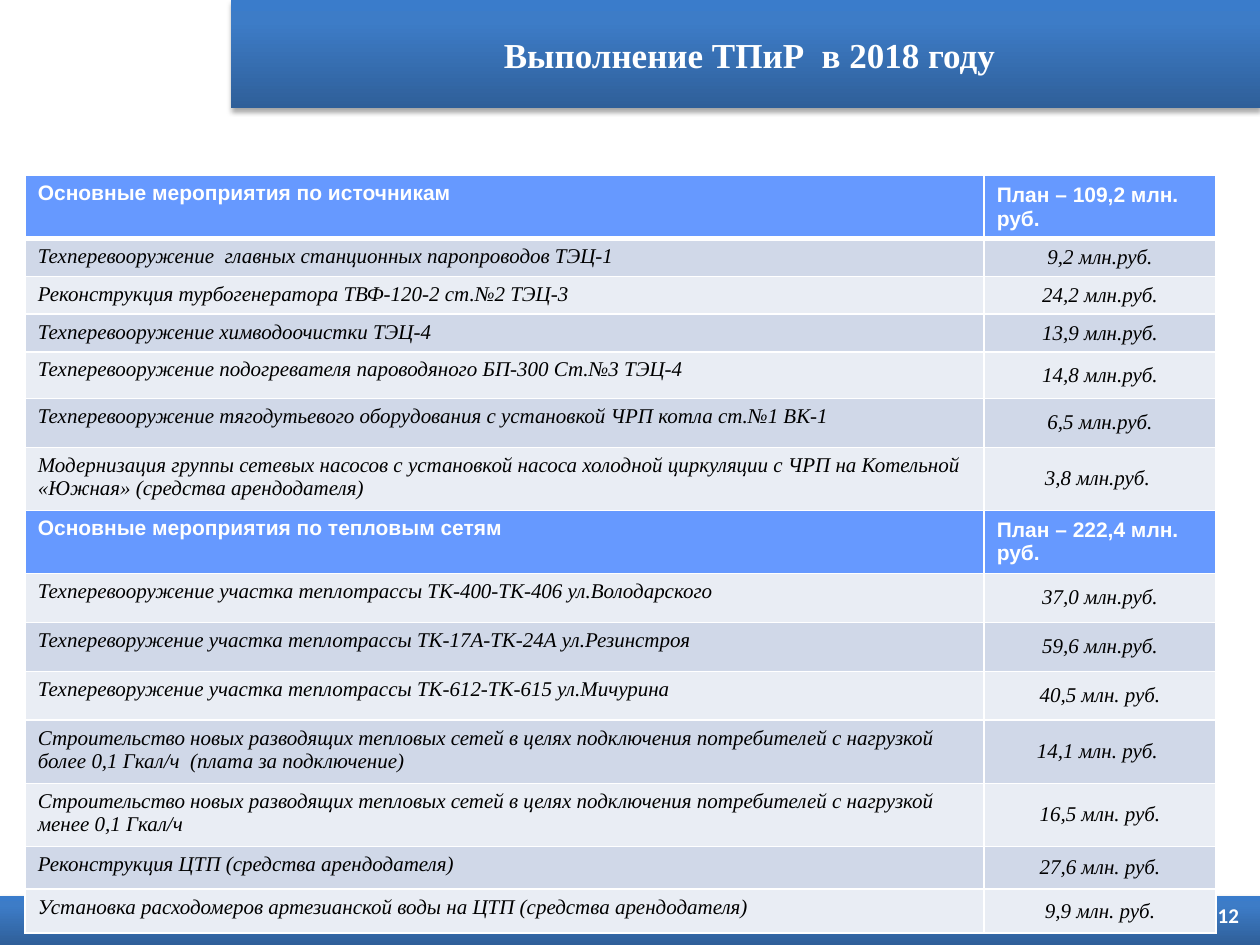
from dataclasses import dataclass

from lxml import etree
from pptx import Presentation
from pptx.dml.color import RGBColor
from pptx.enum.shapes import MSO_SHAPE
from pptx.enum.text import MSO_ANCHOR, PP_ALIGN
from pptx.oxml import parse_xml
from pptx.oxml.ns import qn
from pptx.util import Pt

LEFT, CENTER, RIGHT = PP_ALIGN.LEFT, PP_ALIGN.CENTER, PP_ALIGN.RIGHT
TOP, MIDDLE = MSO_ANCHOR.TOP, MSO_ANCHOR.MIDDLE
RECTANGLE = MSO_SHAPE.RECTANGLE
DRAWING = 'xmlns:a="http://schemas.openxmlformats.org/drawingml/2006/main"'
WHITE, BLACK = "FFFFFF", "000000"
HEADING_FILL = "6699FF"
BAND_FILLS = ("E9EDF4", "D0D8E8")
GRADIENT = ((0, "2F5F99"), (80, "3D7CC7"), (100, "3A7CCB"))
SERIF, SANS, NUMBER_FONT = "Times New Roman", "Arial", "Calibri"
COLUMN_WIDTHS = (548, 132.4)


@dataclass
class Activity:
    name: str
    value: str
    height: float
    heading: bool = False


ACTIVITIES = (
    Activity("Основные мероприятия по источникам", "План – 109,2 млн. руб.", 21, True),
    Activity("Техперевооружение  главных станционных паропроводов ТЭЦ-1", "9,2 млн.руб.", 21.5),
    Activity("Реконструкция турбогенератора ТВФ-120-2 ст.№2 ТЭЦ-3", "24,2 млн.руб.", 21),
    Activity("Техперевооружение химводоочистки ТЭЦ-4", "13,9 млн.руб.", 21),
    Activity("Техперевооружение подогревателя пароводяного БП-300 Ст.№3 ТЭЦ-4", "14,8 млн.руб.", 26.5),
    Activity("Техперевооружение тягодутьевого оборудования с установкой ЧРП котла ст.№1 ВК-1",
             "6,5 млн.руб.", 28),
    Activity("Модернизация группы сетевых насосов с установкой насоса холодной циркуляции "
             "с ЧРП на Котельной «Южная» (средства арендодателя)", "3,8 млн.руб. ", 34.5),
    Activity("Основные мероприятия по тепловым сетям", "План – 222,4 млн. руб.", 21, True),
    Activity("Техперевооружение участка теплотрассы ТК-400-ТК-406 ул.Володарского", "37,0 млн.руб.", 28),
    Activity("Техпереворужение участка теплотрассы ТК-17А-ТК-24А ул.Резинстроя", "59,6 млн.руб.", 28),
    Activity("Техпереворужение участка теплотрассы ТК-612-ТК-615 ул.Мичурина", "40,5 млн. руб.", 28),
    Activity("Строительство новых разводящих тепловых сетей в целях подключения потребителей "
             "с нагрузкой более 0,1 Гкал/ч  (плата за подключение)", "14,1 млн. руб. ", 34.5),
    Activity("Строительство новых разводящих тепловых сетей в целях подключения потребителей "
             "с нагрузкой менее 0,1 Гкал/ч", "16,5 млн. руб.", 34.5),
    Activity("Реконструкция ЦТП (средства арендодателя)", "27,6 млн. руб.", 24.5),
    Activity("Установка расходомеров артезианской воды на ЦТП (средства арендодателя)",
             "9,9 млн. руб.", 25),
)


def color(value: str) -> RGBColor:
    return RGBColor.from_string(value)


def write_text(frame, text: str, *, font: str, size: float = 12, fill: str = WHITE,
               bold: bool = False, italic: bool = False, align=LEFT, anchor=MIDDLE) -> None:
    frame.word_wrap = True
    frame.vertical_anchor = anchor
    para = frame.paragraphs[0]
    para.alignment = align
    span = para.add_run()
    span.text = text
    span.font.name = font
    span.font.size = Pt(size)
    span.font.bold = bold
    span.font.italic = italic
    span.font.color.rgb = color(fill)


def add_band(page, left: float, top: float, width: float, height: float):
    band = page.shapes.add_shape(RECTANGLE, Pt(left), Pt(top), Pt(width), Pt(height))
    band.line.fill.background()
    stops = "".join(f'<a:gs pos="{place * 1000}"><a:srgbClr val="{shade}"/></a:gs>'
                    for place, shade in GRADIENT)
    gradient = parse_xml(f'<a:gradFill {DRAWING} rotWithShape="1"><a:gsLst>{stops}</a:gsLst>'
                         '<a:lin ang="16200000" scaled="0"/></a:gradFill>')
    shadow = parse_xml(f'<a:effectLst {DRAWING}><a:outerShdw blurRad="{Pt(3.1)}" dist="{Pt(1.8)}" '
                       'dir="5400000" rotWithShape="0"><a:srgbClr val="000000">'
                       '<a:alpha val="35000"/></a:srgbClr></a:outerShdw></a:effectLst>')
    properties = band.fill._xPr
    properties.find(qn("a:prstGeom")).addnext(gradient)
    properties.find(qn("a:ln")).addnext(shadow)
    return band


def set_borders(cell, top: float = 1, bottom: float = 1) -> None:
    properties = cell._tc.get_or_add_tcPr()
    for side, width in (("L", 1), ("R", 1), ("T", top), ("B", bottom)):
        line = etree.SubElement(properties, qn(f"a:ln{side}"), w=str(Pt(width)))
        solid = etree.SubElement(line, qn("a:solidFill"))
        etree.SubElement(solid, qn("a:srgbClr"), val=WHITE)


def fill_cell(cell, text: str, background: str, heading: bool, is_value: bool) -> None:
    cell.fill.solid()
    cell.fill.fore_color.rgb = color(background)
    cell.vertical_anchor = MIDDLE if is_value else TOP
    write_text(cell.text_frame, text, font=SANS if heading else SERIF,
               fill=WHITE if heading else BLACK, bold=heading, italic=not heading,
               align=CENTER if is_value and not heading else LEFT,
               anchor=None)


def add_activities(page) -> None:
    frame = page.shapes.add_table(len(ACTIVITIES), len(COLUMN_WIDTHS), Pt(14.4), Pt(100.2),
                                  Pt(sum(COLUMN_WIDTHS)), Pt(sum(item.height for item in ACTIVITIES)))
    table = frame.table
    for column, width in zip(table.columns, COLUMN_WIDTHS):
        column.width = Pt(width)
    for index, activity in enumerate(ACTIVITIES):
        table.rows[index].height = Pt(activity.height)
        background = HEADING_FILL if activity.heading else BAND_FILLS[index % 2]
        for position, text in enumerate((activity.name, activity.value)):
            cell = table.cell(index, position)
            set_borders(cell, top=3 if index == 1 else 1, bottom=3 if index == 0 else 1)
            fill_cell(cell, text, background, activity.heading, position == 1)


def main() -> None:
    deck = Presentation()
    deck.slide_width, deck.slide_height = Pt(720), Pt(540)
    page = deck.slides.add_slide(deck.slide_layouts[6])
    add_band(page, 0, 512, 720, 28)
    number = page.shapes.add_textbox(Pt(680.4), Pt(506.2), Pt(34.6), Pt(33.8))
    write_text(number.text_frame, "12", font=NUMBER_FONT, bold=True, align=RIGHT)
    title = add_band(page, 131.8, 0, 588.2, 61.9)
    write_text(title.text_frame, " Выполнение ТПиР  в 2018 году", font=SERIF, size=20,
               bold=True, align=CENTER)
    add_activities(page)
    deck.save("out.pptx")


if __name__ == "__main__":
    main()
